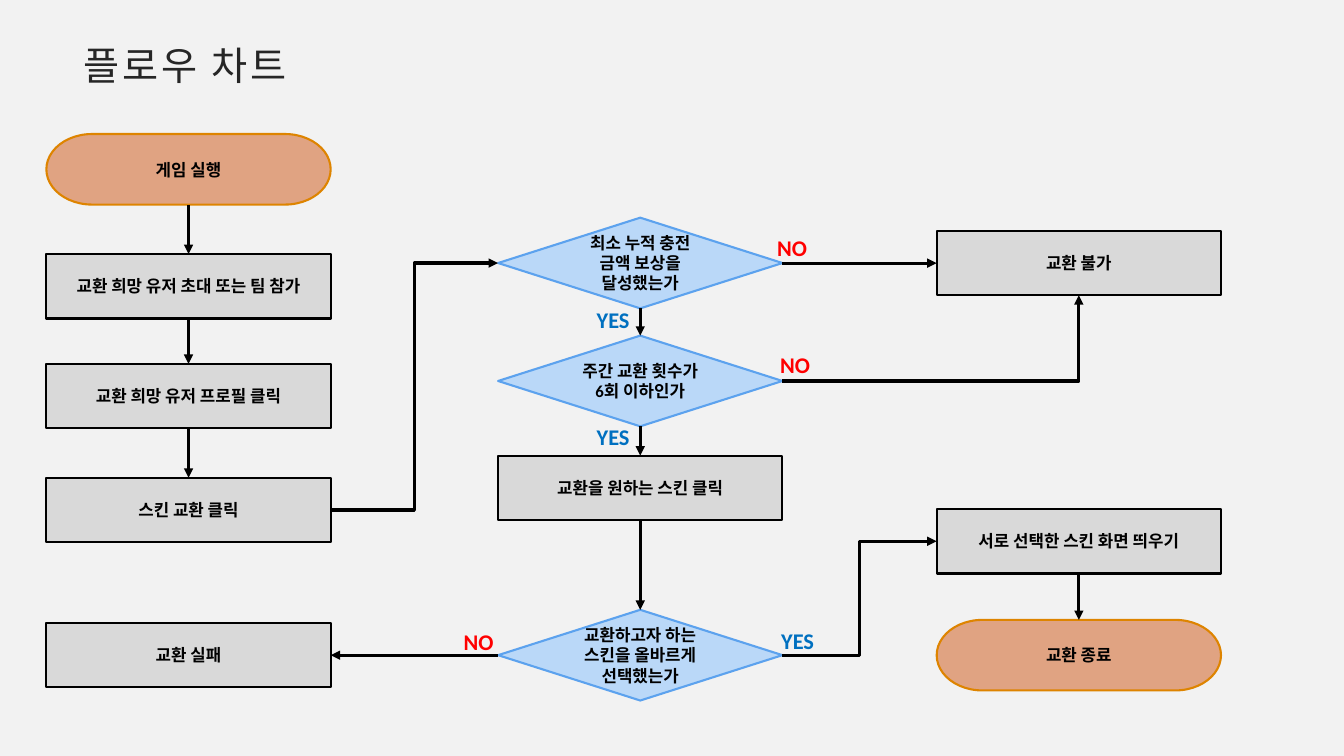
from dataclasses import dataclass

from pptx import Presentation
from pptx import util as u
from pptx.dml.color import RGBColor
from pptx.enum import shapes, text
from pptx.oxml import ns, xmlchemy

W, H = 13.33, 7.5
COLS = (1.87, 6.35, 10.7)  # column centres
ROWS = (1.68, 2.61, 2.84, 3.78, 3.93, 4.84, 5.06, 5.37, 6.5)  # row centres
NODE_W = 2.82
TOP, LEFT, BOTTOM, RIGHT = range(4)  # connection sites
YES, NO = "0070C0", "FF0000"


@dataclass(frozen=True)
class Kind:
    shape: shapes.MSO_SHAPE
    height: float
    fill: str
    line: str


@dataclass(frozen=True)
class Node:
    kind: Kind
    col: int
    row: int
    text: str


@dataclass(frozen=True)
class Edge:
    start: str
    start_site: int
    end: str
    end_site: int
    preset: str = "line"


@dataclass(frozen=True)
class Label:
    """A branch answer, offset from the centre of its decision."""
    decision: str
    text: str
    color: str
    dx: float
    dy: float


TERMINAL = Kind(shapes.MSO_SHAPE.FLOWCHART_TERMINATOR, 0.7, "E0A382", "DE8400")
STEP = Kind(shapes.MSO_SHAPE.RECTANGLE, 0.64, "D9D9D9", "000000")
DECISION = Kind(shapes.MSO_SHAPE.DIAMOND, 0.9, "BAD8F8", "5CA2EE")

NODES = {
    "start": Node(TERMINAL, 0, 0, "게임 실행"),
    "invite": Node(STEP, 0, 2, "교환 희망 유저 초대 또는 팀 참가"),
    "profile": Node(STEP, 0, 4, "교환 희망 유저 프로필 클릭"),
    "exchange": Node(STEP, 0, 6, "스킨 교환 클릭"),
    "failed": Node(STEP, 0, 8, "교환 실패"),
    "reward": Node(DECISION, 1, 1, "최소 누적 충전 금액 보상을 달성했는가"),
    "weekly": Node(DECISION, 1, 3, "주간 교환 횟수가 6회 이하인가"),
    "pick": Node(STEP, 1, 5, "교환을 원하는 스킨 클릭"),
    "correct": Node(DECISION, 1, 8, "교환하고자 하는 스킨을 올바르게 선택했는가"),
    "denied": Node(STEP, 2, 1, "교환 불가"),
    "show": Node(STEP, 2, 7, "서로 선택한 스킨 화면 띄우기"),
    "finish": Node(TERMINAL, 2, 8, "교환 종료"),
}
DOWNWARD = (("start", "invite"), ("invite", "profile"), ("profile", "exchange"),
            ("reward", "weekly"), ("weekly", "pick"), ("pick", "correct"),
            ("show", "finish"))
EDGES = [Edge(a, BOTTOM, b, TOP) for a, b in DOWNWARD] + [
    Edge("exchange", RIGHT, "reward", LEFT, "bentConnector3"),
    Edge("reward", RIGHT, "denied", LEFT),
    Edge("weekly", RIGHT, "denied", BOTTOM, "bentConnector2"),
    Edge("correct", LEFT, "failed", RIGHT),
    Edge("correct", RIGHT, "show", LEFT, "bentConnector3"),
]
LABELS = (
    Label("reward", "YES", YES, -0.53, 0.38),
    Label("weekly", "YES", YES, -0.53, 0.37),
    Label("correct", "YES", YES, 1.3, -0.33),
    Label("reward", "NO", NO, 1.26, -0.34),
    Label("weekly", "NO", NO, 1.29, -0.35),
    Label("correct", "NO", NO, -1.85, -0.32),
)


def rgb(value: str) -> RGBColor:
    return RGBColor.from_string(value)


def box(left: float, top: float, width: float, height: float) -> list:
    return [u.Inches(v) for v in (left, top, width, height)]


def write(tf, words: str, *, size: float, color: str = "000000", bold: bool = True,
          font: str = "Calibri", align=text.PP_ALIGN.CENTER,
          anchor=text.MSO_ANCHOR.MIDDLE, wrap: bool = True):
    tf.word_wrap, tf.vertical_anchor = wrap, anchor
    p = tf.paragraphs[0]
    p.alignment = align
    r = p.add_run()
    r.text = words
    r.font.name, r.font.size, r.font.bold = font, u.Pt(size), bold
    r.font.color.rgb = rgb(color)
    return p, r


def add_title(s) -> None:
    sp = s.shapes.title
    sp.left, sp.top, sp.width, sp.height = box(0.38, 0.19, 2.91, 0.97)
    tf = sp.text_frame
    tf.margin_left = tf.margin_right = tf.margin_top = tf.margin_bottom = u.Inches(0.2)
    tf.auto_size = text.MSO_AUTO_SIZE.NONE
    p, r = write(tf, "플로우 차트", size=28, color="262626", bold=False,
                 font="Noto Sans CJK KR")
    p.line_spacing = 0.9
    rpr = r.font._element
    rpr.set("spc", "200")
    ea = xmlchemy.OxmlElement("a:ea")
    ea.set("typeface", "Noto Sans CJK KR")
    rpr.find(ns.qn("a:latin")).addnext(ea)


def add_node(s, node: Node):
    k = node.kind
    sp = s.shapes.add_shape(k.shape, *box(COLS[node.col] - NODE_W / 2,
                                          ROWS[node.row] - k.height / 2,
                                          NODE_W, k.height))
    sp.shadow.inherit = False
    sp.fill.solid()
    sp.fill.fore_color.rgb = rgb(k.fill)
    sp.line.color.rgb = rgb(k.line)
    sp.line.width = u.Pt(1.5)
    write(sp.text_frame, node.text, size=12)
    return sp


def add_edge(s, edge: Edge, drawn: dict) -> None:
    straight = edge.preset == "line"
    kind = shapes.MSO_CONNECTOR.STRAIGHT if straight else shapes.MSO_CONNECTOR.ELBOW
    c = s.shapes.add_connector(kind, 0, 0, 0, 0)
    c.begin_connect(drawn[edge.start], edge.start_site)
    c.end_connect(drawn[edge.end], edge.end_site)
    c.line.color.rgb = rgb("000000")
    c.line.width = u.Pt(2.25)
    sp_pr = c._element.spPr
    sp_pr.find(ns.qn("a:prstGeom")).set("prst", edge.preset)
    tail = xmlchemy.OxmlElement("a:tailEnd")
    tail.set("type", "triangle")
    sp_pr.find(ns.qn("a:ln")).append(tail)
    sp_pr.append(xmlchemy.OxmlElement("a:effectLst"))


def add_label(s, label: Label) -> None:
    node = NODES[label.decision]
    width = 0.58 if label.text == "YES" else 0.55
    tb = s.shapes.add_textbox(*box(COLS[node.col] + label.dx,
                                   ROWS[node.row] + label.dy, width, 0.37))
    write(tb.text_frame, label.text, size=16, color=label.color, wrap=False,
          align=text.PP_ALIGN.LEFT, anchor=text.MSO_ANCHOR.TOP)
    tb.text_frame.auto_size = text.MSO_AUTO_SIZE.SHAPE_TO_FIT_TEXT


def main() -> None:
    prs = Presentation()
    prs.slide_width, prs.slide_height = u.Inches(W), u.Inches(H)
    s = prs.slides.add_slide(prs.slide_layouts.get_by_name("Title Only"))
    s.background.fill.solid()
    s.background.fill.fore_color.rgb = rgb("F2F2F2")
    add_title(s)
    drawn = {name: add_node(s, node) for name, node in NODES.items()}
    for label in LABELS:
        add_label(s, label)
    for edge in EDGES:
        add_edge(s, edge, drawn)
    prs.save("out.pptx")


if __name__ == "__main__":
    main()
